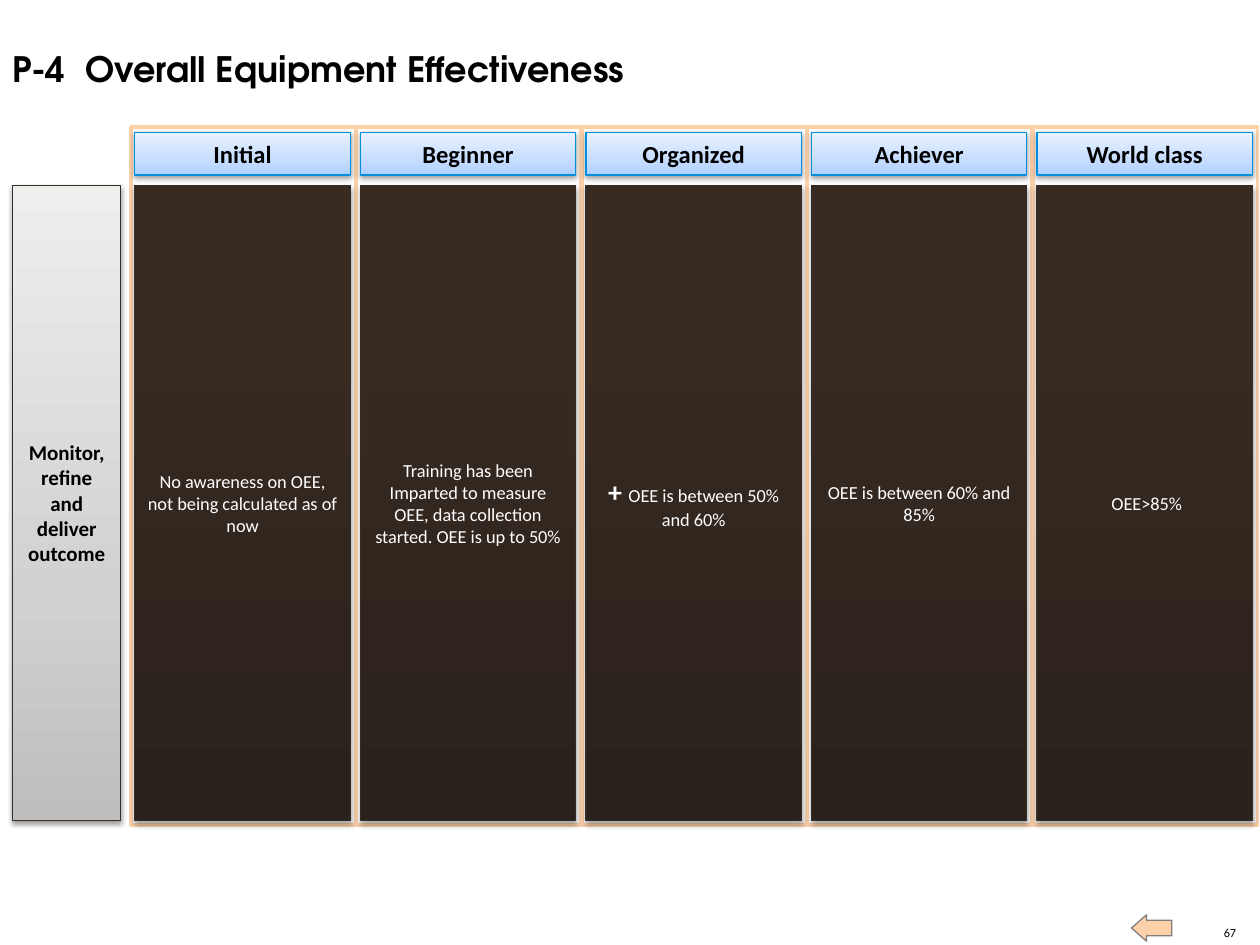
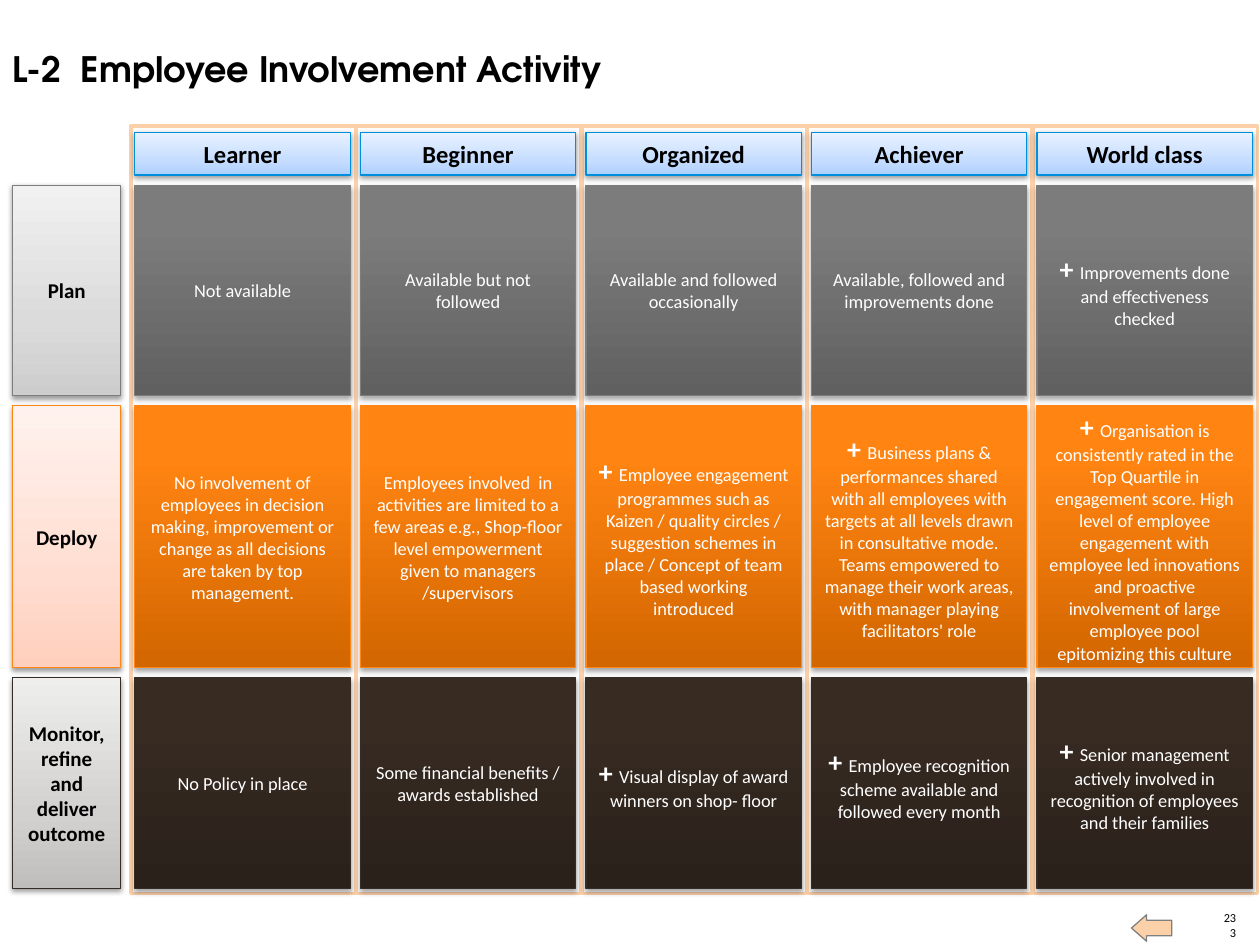
"""Build two maturity grids: equipment effectiveness and employee involvement."""
from lxml import etree
from pptx import Presentation
from pptx import util as u
from pptx.dml.color import RGBColor
from pptx.enum import shapes, text
from pptx.oxml import ns

BLACK = RGBColor(0x00, 0x00, 0x00)
WHITE = RGBColor(0xFF, 0xFF, 0xFF)
PEACH = RGBColor(0xFC, 0xD1, 0xAA)
GREY = RGBColor(0x80, 0x80, 0x80)
BLUE = RGBColor(0x00, 0x8F, 0xDC)
STEEL = RGBColor(0x7D, 0x7D, 0x7D)
ORANGE = RGBColor(0xFF, 0x86, 0x15)
BROWN = RGBColor(0x35, 0x2C, 0x25)

PALE = (0, 35, 100)
DEEP = (0, 80, 100)
HEAD = [RGBColor(0xAE, 0xCF, 0xFF), RGBColor(0xC6, 0xDD, 0xFF), RGBColor(0xE9, 0xF2, 0xFF)]
STAGES = {
    "Plan": (
        STEEL,
        [RGBColor(0xCD, 0xCD, 0xCD), RGBColor(0xDB, 0xDB, 0xDB), RGBColor(0xF1, 0xF1, 0xF1)],
        [RGBColor(0x60, 0x60, 0x60), RGBColor(0x7C, 0x7C, 0x7C), RGBColor(0x7D, 0x7D, 0x7D)],
    ),
    "Deploy": (
        ORANGE,
        [RGBColor(0xFF, 0xCF, 0xBD), RGBColor(0xFF, 0xDD, 0xD1), RGBColor(0xFF, 0xF2, 0xEE)],
        [RGBColor(0xD2, 0x66, 0x00), RGBColor(0xFF, 0x84, 0x12), RGBColor(0xFF, 0x85, 0x14)],
    ),
    "Monitor, refine and deliver outcome": (
        BROWN,
        [RGBColor(0xC0, 0xBE, 0xBC), RGBColor(0xD3, 0xD1, 0xD0), RGBColor(0xEE, 0xEE, 0xED)],
        [RGBColor(0x2A, 0x21, 0x1B), RGBColor(0x37, 0x2B, 0x22), RGBColor(0x37, 0x2B, 0x22)],
    ),
}

LEFT, STEP, WIDE = 1.07, 1.79, 1.71
TOP, GAP = 1.47, 0.08
LEVELS = ["Beginner", "Organized", "Achiever", "World class"]

PAGES = [
    ("P-4  Overall Equipment Effectiveness", "67", "Initial", 1.01, [
        ("Monitor, refine and deliver outcome", 5.04, [
            "No awareness on OEE, not being calculated as of now",
            "Training has been Imparted to measure OEE, data collection started. "
            "OEE is up to 50%",
            "+ OEE is between 50% and 60%",
            "OEE is between 60% and 85%",
            " OEE>85%",
        ]),
    ]),
    ("L-2  Employee Involvement Activity", "233", "Learner", 1.0, [
        ("Plan", 1.67, [
            "Not available",
            "Available but not followed",
            "Available and followed occasionally",
            "Available, followed and improvements done",
            "+ Improvements done and effectiveness checked",
        ]),
        ("Deploy", 2.08, [
            "No involvement of employees in decision making, improvement or change "
            "as all decisions are taken by top management.",
            "Employees involved  in activities are limited to a few areas e.g., "
            "Shop-floor level empowerment given to managers /supervisors",
            "+ Employee engagement programmes such as Kaizen / quality circles / "
            "suggestion schemes in place / Concept of team based working introduced",
            "+ Business plans & performances shared with all employees with targets "
            "at all levels drawn in consultative mode. Teams empowered to manage "
            "their work areas, with manager playing facilitators' role",
            "+ Organisation is consistently rated in the Top Quartile in engagement "
            "score. High level of employee engagement with employee led innovations "
            "and proactive involvement of large employee pool epitomizing this culture",
        ]),
        ("Monitor, refine and deliver outcome", 1.67, [
            "No Policy in place",
            "Some financial benefits / awards established",
            "+ Visual display of award winners on shop- floor",
            "+ Employee recognition scheme available and followed every month",
            "+ Senior management actively involved in recognition of employees "
            "and their families",
        ]),
    ]),
]


def write(par, words, size, color, bold=False, face="Calibri"):
    run = par.add_run()
    run.text = words
    run.font.size = u.Pt(size)
    run.font.name = face
    run.font.bold = bold
    run.font.color.rgb = color


def panel(slide, x, y, w, h, spots, tones, edge, fade, drop):
    box = slide.shapes.add_shape(
        shapes.MSO_SHAPE.RECTANGLE, u.Inches(x), u.Inches(y), u.Inches(w), u.Inches(h))
    box.fill.gradient()
    box.fill.gradient_angle = 90
    stops = box.fill._fill._gradFill.find(ns.qn("a:gsLst"))
    for stop in list(stops):
        stops.remove(stop)
    for spot, tone in zip(spots, tones):
        stop = etree.SubElement(stops, ns.qn("a:gs"), pos=str(spot * 1000))
        etree.SubElement(stop, ns.qn("a:srgbClr"), val=str(tone))
    box.line.color.rgb = edge
    box.line.width = u.Pt(0.75)
    box.shadow.inherit = False
    glow = etree.SubElement(
        box._element.spPr.find(ns.qn("a:effectLst")), ns.qn("a:outerShdw"),
        blurRad=str(u.Pt(3.1)), dist=str(u.Pt(drop)), dir="5400000", rotWithShape="0")
    shade = etree.SubElement(glow, ns.qn("a:srgbClr"), val=str(BLACK))
    etree.SubElement(shade, ns.qn("a:alpha"), val=str(fade * 1000))
    box.text_frame.word_wrap = True
    box.text_frame.vertical_anchor = text.MSO_ANCHOR.MIDDLE
    par = box.text_frame.paragraphs[0]
    par.alignment = text.PP_ALIGN.CENTER
    return par


deck = Presentation()
deck.slide_width = u.Inches(10)
deck.slide_height = u.Inches(7.5)

for title, number, first, crest, rows in PAGES:
    slide = deck.slides.add_slide(deck.slide_layouts[6])

    note = slide.shapes.add_textbox(
        u.Inches(9.69), u.Inches(7.34), u.Inches(0.12), u.Inches(0.12)).text_frame
    note.margin_left = note.margin_right = note.margin_top = note.margin_bottom = 0
    note.word_wrap = True
    note.vertical_anchor = text.MSO_ANCHOR.BOTTOM
    note.paragraphs[0].alignment = text.PP_ALIGN.RIGHT
    write(note.paragraphs[0], number, 7, BLACK)

    arrow = slide.shapes.add_shape(
        shapes.MSO_SHAPE.RIGHT_ARROW,
        u.Inches(8.98), u.Inches(7.26), u.Inches(0.32), u.Inches(0.21))
    arrow.rotation = 180
    arrow.adjustments[0] = 0.59
    arrow.adjustments[1] = 0.57
    arrow.fill.solid()
    arrow.fill.fore_color.rgb = PEACH
    arrow.line.color.rgb = GREY
    arrow.line.width = u.Pt(0.75)
    arrow.shadow.inherit = False

    head = slide.shapes.add_textbox(
        u.Inches(0), u.Inches(0.33), u.Inches(8.6), u.Inches(0.44)).text_frame
    head.word_wrap = True
    write(head.paragraphs[0], title, 20, BLACK, True, "TeX Gyre Adventor")

    base = TOP + sum(tall for _, tall, _ in rows) + GAP * (len(rows) - 1)
    for col in range(5):
        frame = slide.shapes.add_shape(
            shapes.MSO_SHAPE.RECTANGLE, u.Inches(LEFT - 0.03 + col * STEP),
            u.Inches(crest), u.Inches(1.78), u.Inches(base + 0.04 - crest))
        frame.fill.solid()
        frame.fill.fore_color.rgb = WHITE
        frame.line.color.rgb = PEACH
        frame.line.width = u.Pt(2)
        frame.shadow.inherit = False

    y = TOP
    for stage, tall, cells in rows:
        edge, pale, deep = STAGES[stage]
        par = panel(slide, 0.1, y, 0.86, tall, PALE, pale, edge, 38, 1.6)
        write(par, stage, 12, BLACK, True)
        for col, words in enumerate(cells):
            par = panel(slide, LEFT + col * STEP, y, WIDE, tall, DEEP, deep, edge, 35, 1.8)
            if words.startswith("+ "):
                write(par, "+ ", 16, WHITE, True)
            write(par, words.removeprefix("+ "), 10.5, WHITE)
        y += tall + GAP

    for col, level in enumerate([first] + LEVELS):
        par = panel(slide, LEFT + col * STEP, 1.05, WIDE, 0.34, PALE, HEAD, BLUE, 38, 1.6)
        write(par, level, 14, BLACK, True)

deck.save("out.pptx")
